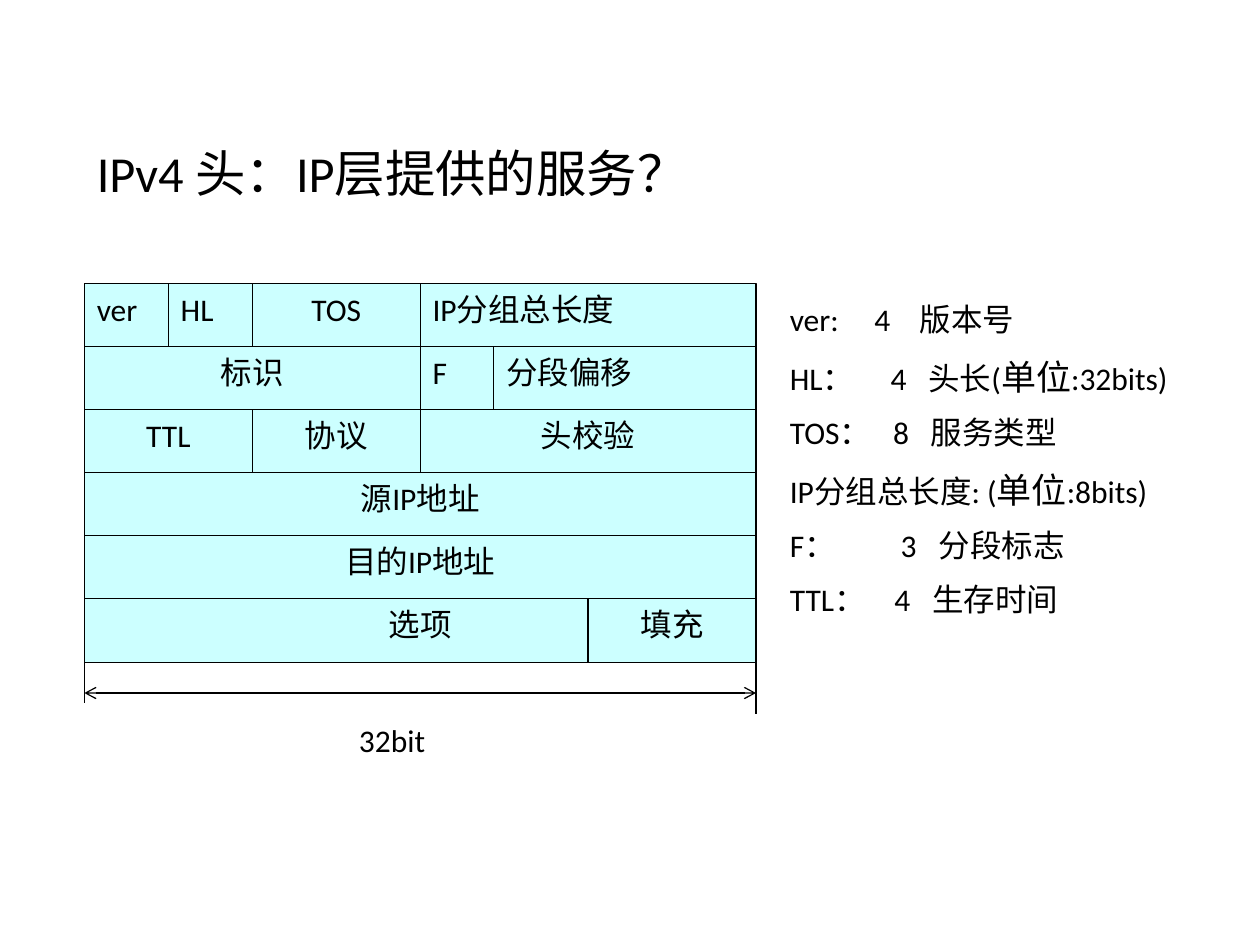
from dataclasses import dataclass

from lxml.etree import SubElement
from pptx import Presentation
from pptx.dml.color import RGBColor
from pptx.enum.shapes import MSO_CONNECTOR, MSO_SHAPE
from pptx.enum.text import MSO_ANCHOR, PP_ALIGN
from pptx.oxml.ns import qn
from pptx.util import Inches, Pt


@dataclass(frozen=True)
class Theme:
    font: str = "Calibri"
    ink: RGBColor = RGBColor(0x00, 0x00, 0x00)
    cell: RGBColor = RGBColor(0xCC, 0xFF, 0xFF)
    title_size: float = 28.8
    body_size: float = 18
    unit_size: float = 20
    rule: float = 0.75


THEME = Theme()
LEFT, CENTER = PP_ALIGN.LEFT, PP_ALIGN.CENTER
WORD_BITS = 32

HEADER_ROWS = [
    [("ver", 0, 4, LEFT), ("HL", 4, 4, LEFT), ("TOS", 8, 8, CENTER), ("IP分组总长度", 16, 16, LEFT)],
    [("标识", 0, 16, CENTER), ("F", 16, 3.5, LEFT), ("分段偏移", 19.5, 12.5, LEFT)],
    [("TTL", 0, 8, CENTER), ("协议", 8, 8, CENTER), ("头校验", 16, 16, CENTER)],
    [("源IP地址", 0, 32, CENTER)],
    [("目的IP地址", 0, 32, CENTER)],
    [("选项", 0, 32, CENTER), ("填充", 24, 8, CENTER)],
]

FIELD_NOTES = [
    (["ver:\t4\t版本号"], (0.67, 1.03)),
    (["HL：\t4\t头长(", "单位", ":32bits)"], (0.80, 1.10)),
    (["TOS：\t8\t服务类型"], (0.82, 1.12)),
    (["IP分组总长度: (", "单位", ":8bits)"], ()),
    (["F：\t3\t分段标志"], (0.88, 1.18)),
    (["TTL：\t4\t生存时间"], (0.83, 1.13)),
]


def add_run(paragraph, text, size=THEME.body_size):
    run = paragraph.add_run()
    run.text = text
    run.font.name = THEME.font
    run.font.size = Pt(size)
    run.font.color.rgb = THEME.ink


def add_text_frame(slide, left, top, width, height):
    frame = slide.shapes.add_textbox(
        Inches(left), Inches(top), Inches(width), Inches(height)
    ).text_frame
    frame.word_wrap = True
    return frame


def add_rule(slide, x1, y1, x2, y2, arrows=False):
    rule = slide.shapes.add_connector(
        MSO_CONNECTOR.STRAIGHT, Inches(x1), Inches(y1), Inches(x2), Inches(y2)
    )
    rule.line.color.rgb = THEME.ink
    rule.line.width = Pt(THEME.rule)
    if arrows:
        outline = rule.line._get_or_add_ln()
        for end in ("a:headEnd", "a:tailEnd"):
            SubElement(outline, qn(end), type="arrow")
    SubElement(rule._element.spPr, qn("a:effectLst"))


def add_title(slide, left, top, width, height):
    frame = add_text_frame(slide, left, top, width, height)
    frame.margin_top = Inches(0.55)
    add_run(frame.paragraphs[0], "IPv4 头：IP层提供的服务？", THEME.title_size)


def add_field(slide, text, align, left, top, width, height, filled):
    field = slide.shapes.add_shape(
        MSO_SHAPE.RECTANGLE, Inches(left), Inches(top), Inches(width), Inches(height)
    )
    field.shadow.inherit = False
    if filled:
        field.fill.solid()
        field.fill.fore_color.rgb = THEME.cell
    else:
        field.fill.background()
    field.line.color.rgb = THEME.ink
    field.line.width = Pt(THEME.rule)
    frame = field.text_frame
    frame.word_wrap = True
    frame.vertical_anchor = MSO_ANCHOR.TOP
    paragraph = frame.paragraphs[0]
    paragraph.alignment = align
    add_run(paragraph, text)


def add_header_layout(slide, left, top, width, height):
    bit = width / WORD_BITS
    pitch = height / len(HEADER_ROWS)
    for row, fields in enumerate(HEADER_ROWS):
        for text, start, bits, align in fields:
            add_field(slide, text, align, left + start * bit, top + row * pitch,
                      bits * bit, pitch + 0.01, filled=text != "填充")


def add_width_marker(slide, left, top, width, height):
    right = left + width
    add_rule(slide, left, top, left, top + 0.33)
    add_rule(slide, right, top, right, top + 0.42)
    add_rule(slide, left, top + 0.25, right, top + 0.25, arrows=True)
    frame = add_text_frame(slide, left + 2.08, top + 0.42, 2.25, height - 0.42)
    add_run(frame.paragraphs[0], "32bit")


def set_tab_stops(paragraph, stops):
    tabs = SubElement(paragraph._p.get_or_add_pPr(), qn("a:tabLst"))
    for stop in stops:
        SubElement(tabs, qn("a:tab"), pos=str(Inches(stop)), algn="l")


def add_field_notes(slide, left, top, width, height):
    frame = add_text_frame(slide, left, top, width, height)
    for index, (parts, stops) in enumerate(FIELD_NOTES):
        note = frame.add_paragraph() if index else frame.paragraphs[0]
        if index:
            tallest = THEME.unit_size if "单位" in parts else THEME.body_size
            note.space_before = Pt(tallest / 2)
        if stops:
            set_tab_stops(note, stops)
        for part in parts:
            add_run(note, part, THEME.unit_size if part == "单位" else THEME.body_size)


def main():
    deck = Presentation()
    deck.slide_width, deck.slide_height = Inches(10), Inches(7.5)
    slide = deck.slides.add_slide(deck.slide_layouts[6])
    add_title(slide, 0.67, 0.58, 7.67, 0.92)
    add_field_notes(slide, 6.17, 2.33, 4.08, 3.49)
    add_header_layout(slide, 0.67, 2.25, 5.33, 3)
    add_width_marker(slide, 0.67, 5.25, 5.33, 0.92)
    deck.save("out.pptx")


if __name__ == "__main__":
    main()
